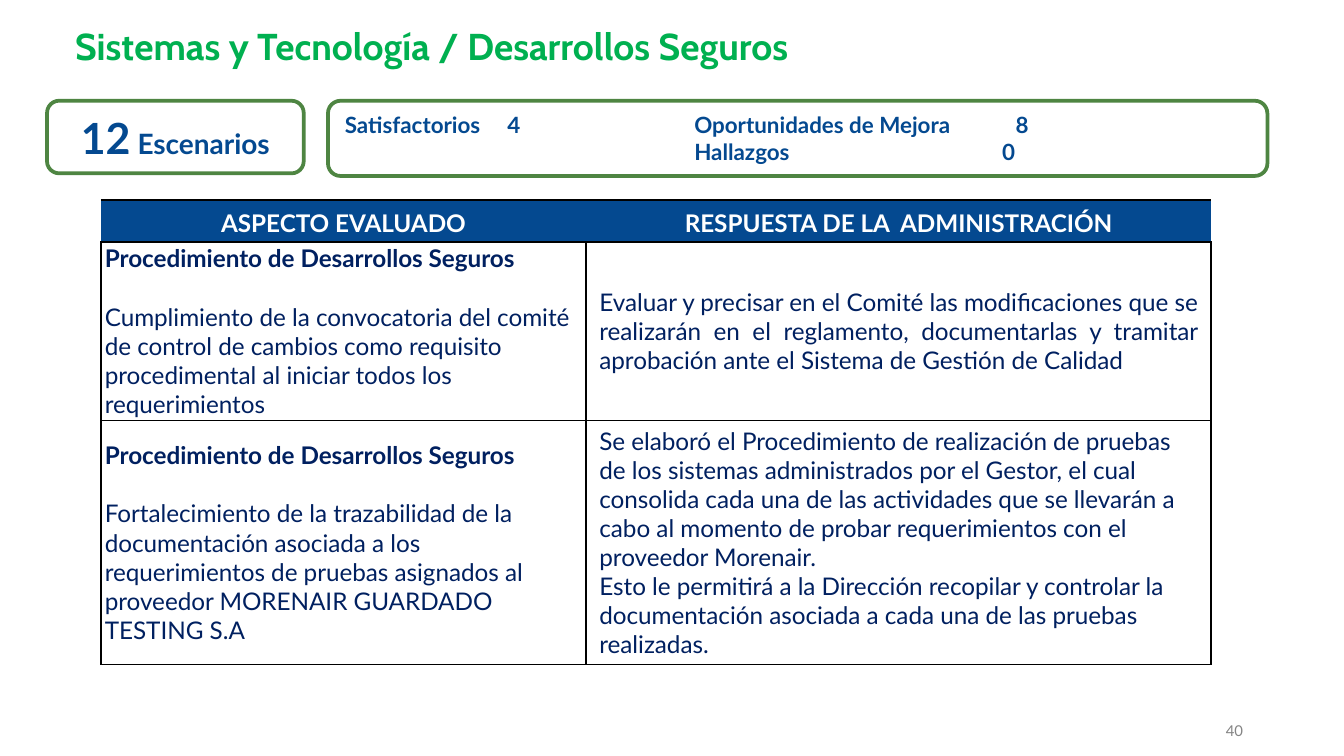
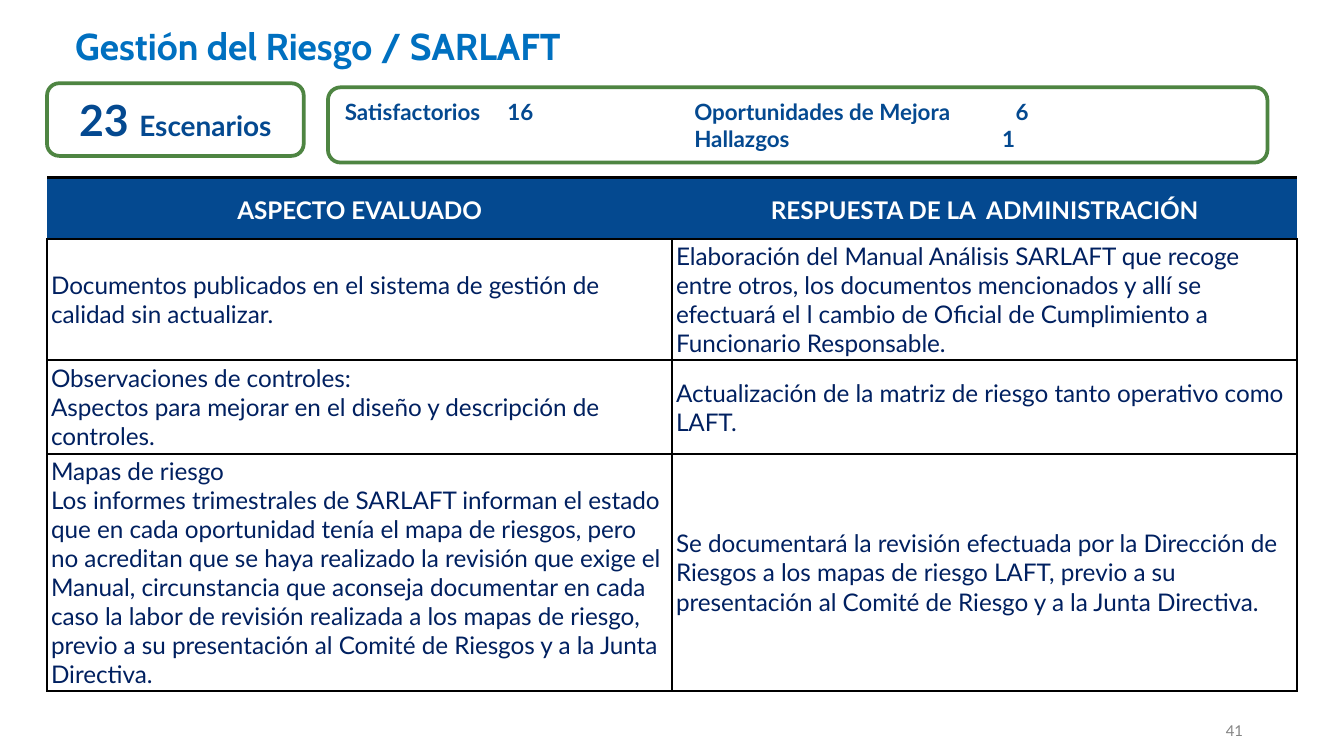
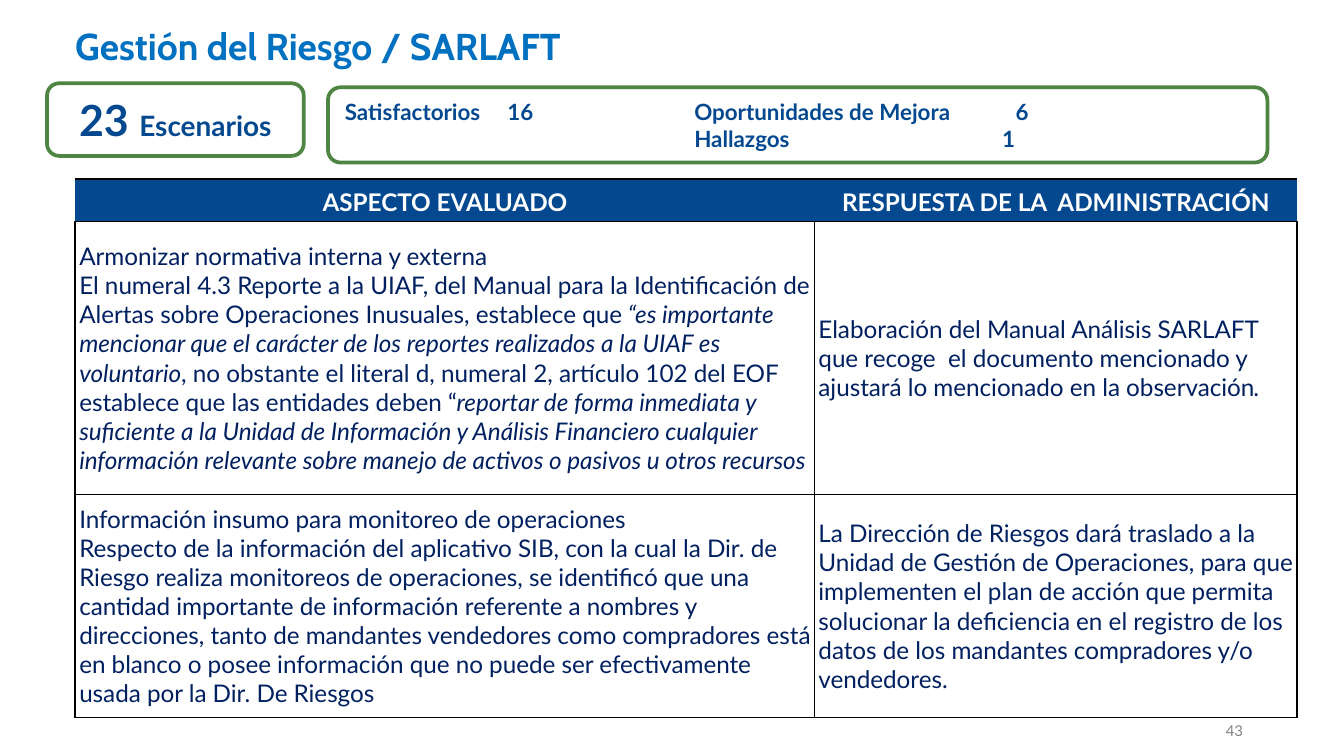
from dataclasses import dataclass

from lxml.etree import SubElement
from pptx import Presentation
from pptx.dml.color import RGBColor
from pptx.enum.shapes import MSO_SHAPE
from pptx.enum.text import MSO_ANCHOR, PP_ALIGN
from pptx.oxml.ns import qn
from pptx.util import Inches, Pt

COLORS = {
    "green_title": "00B050",
    "blue_title": "0070C0",
    "band": "044990",
    "body": "002060",
    "box_line": "4E8542",
    "white": "FFFFFF",
    "border": "000000",
    "footer": "848484",
}
TITLE_FONT = "Cabin"
BODY_FONT = "Lato"
TABLE_SIZE = 13
HEADERS = ["ASPECTO EVALUADO", "RESPUESTA DE LA  ADMINISTRACIÓN"]
NARROW_MARGINS = (0.03, 0.01)
WIDE_MARGINS = (0.1, 0.04)


@dataclass
class Entry:
    """One paragraph of a table cell; underscores switch italics on and off."""

    text: str
    bold: bool = False
    align: PP_ALIGN = PP_ALIGN.LEFT
    space_after: float = 0


def color(name):
    return RGBColor.from_string(COLORS[name])


def set_borders(cell, widths):
    """Draw the sides given as {tag: points}; a width of 0 hides the side."""
    properties = cell._tc.get_or_add_tcPr()
    for index, (tag, width) in enumerate(widths.items()):
        line = SubElement(properties, qn(f"a:{tag}"), w=str(Pt(width)))
        if width:
            fill = SubElement(line, qn("a:solidFill"))
            SubElement(fill, qn("a:srgbClr"), val=COLORS["border"])
        else:
            SubElement(line, qn("a:noFill"))
        properties.insert(index, line)


def set_tab_stops(paragraph, positions):
    tab_list = SubElement(paragraph._p.get_or_add_pPr(), qn("a:tabLst"))
    for position in positions:
        SubElement(tab_list, qn("a:tab"), pos=str(Inches(position)), algn="l")


class Deck:
    def __init__(self):
        self.presentation = Presentation()
        self.presentation.slide_width = Inches(10)
        self.presentation.slide_height = Inches(10 * 9 / 16)
        self.slide = None

    def start_slide(self, title, title_color, number):
        self.slide = self.presentation.slides.add_slide(self.presentation.slide_layouts[6])
        paragraph = self.text_box(0.56, 0.22, 7.01, 0.35, title, MSO_ANCHOR.TOP)
        paragraph.line_spacing = 0.85
        self.style(paragraph, 20, title_color, True, TITLE_FONT)
        paragraph = self.text_box(8.93, 5.37, 0.32, 0.13, number, MSO_ANCHOR.BOTTOM)
        paragraph.alignment = PP_ALIGN.RIGHT
        self.style(paragraph, 8, "footer")

    def style(self, paragraph, size, color_name, bold=False, font_name=BODY_FONT):
        for run in paragraph.runs:
            run.font.name = font_name
            run.font.size = Pt(size)
            run.font.bold = bold
            run.font.color.rgb = color(color_name)

    def text_box(self, left, top, width, height, text, anchor):
        shape = self.slide.shapes.add_textbox(
            Inches(left), Inches(top), Inches(width), Inches(height))
        frame = shape.text_frame
        frame.word_wrap = True
        frame.vertical_anchor = anchor
        frame.margin_left = frame.margin_right = frame.margin_top = frame.margin_bottom = 0
        frame.text = text
        return frame.paragraphs[0]

    def rounded_box(self, left, top, width, height, text):
        shape = self.slide.shapes.add_shape(
            MSO_SHAPE.ROUNDED_RECTANGLE,
            Inches(left), Inches(top), Inches(width), Inches(height))
        shape.shadow.inherit = False
        shape.fill.solid()
        shape.fill.fore_color.rgb = color("white")
        shape.line.color.rgb = color("box_line")
        shape.line.width = Pt(2)
        frame = shape.text_frame
        frame.word_wrap = True
        frame.vertical_anchor = MSO_ANCHOR.MIDDLE
        frame.text = text
        return frame.paragraphs

    def scenario_box(self, top, count, label):
        paragraph = self.rounded_box(0.35, top, 1.91, 0.54, count)[0]
        paragraph.add_run().text = label
        paragraph.alignment = PP_ALIGN.CENTER
        self.style(paragraph, 23, "band", True)
        paragraph.runs[1].font.size = Pt(15)

    def result_box(self, top, satisfactory, improvements, findings):
        text = (f"Satisfactorios\t{satisfactory}\tOportunidades de Mejora\t{improvements}\n"
                f"\tHallazgos\t{findings}")
        paragraphs = self.rounded_box(2.44, top, 6.99, 0.56, text)
        for paragraph, stops in zip(paragraphs, [(1.21, 2.6, 4.99), (2.6, 4.89)]):
            paragraph.alignment = PP_ALIGN.LEFT
            set_tab_stops(paragraph, stops)
            self.style(paragraph, 12, "band", True)

    def table(self, left, top, widths, heights, rows, answer_margins=NARROW_MARGINS):
        table = self.slide.shapes.add_table(
            len(heights), len(widths), Inches(left), Inches(top),
            Inches(sum(widths)), Inches(sum(heights))).table
        table.first_row = table.horz_banding = False
        for column, width in zip(table.columns, widths):
            column.width = Inches(width)
        for row, height in zip(table.rows, heights):
            row.height = Inches(height)
        for index, header in enumerate(HEADERS):
            self.header_cell(table.cell(0, index), header)
        for row_index, row in enumerate(rows, start=1):
            for index, margins in enumerate([NARROW_MARGINS, answer_margins]):
                self.body_cell(table.cell(row_index, index), row[index], margins)

    def set_cell_margins(self, cell, margins):
        cell.vertical_anchor = MSO_ANCHOR.MIDDLE
        cell.margin_left = cell.margin_right = Inches(margins[0])
        cell.margin_top = cell.margin_bottom = Inches(margins[1])

    def header_cell(self, cell, text):
        self.set_cell_margins(cell, NARROW_MARGINS)
        cell.fill.solid()
        cell.fill.fore_color.rgb = color("band")
        set_borders(cell, {"lnL": 0, "lnR": 0, "lnT": 1.5, "lnB": 1})
        cell.text_frame.text = text
        paragraph = cell.text_frame.paragraphs[0]
        paragraph.alignment = PP_ALIGN.CENTER
        paragraph.line_spacing = 1.15
        self.style(paragraph, TABLE_SIZE, "white", True)

    def body_cell(self, cell, entries, margins):
        self.set_cell_margins(cell, margins)
        cell.fill.background()
        set_borders(cell, {"lnL": 1, "lnR": 1, "lnT": 1, "lnB": 1})
        frame = cell.text_frame
        for index, entry in enumerate(entries):
            paragraph = frame.add_paragraph() if index else frame.paragraphs[0]
            paragraph.alignment = entry.align
            paragraph.space_after = Pt(entry.space_after)
            for part, text in enumerate(entry.text.split("_")):
                if text:
                    run = paragraph.add_run()
                    run.text = text
                    run.font.italic = part % 2 == 1
            self.style(paragraph, TABLE_SIZE, "body", entry.bold)


def add_secure_development(deck):
    deck.start_slide("Sistemas y Tecnología / Desarrollos Seguros", "green_title", "40")
    heading = Entry("Procedimiento de Desarrollos Seguros", bold=True, space_after=15.6)
    rows = [
        ([heading,
          Entry("Cumplimiento de la convocatoria del comité de control de cambios como "
                "requisito procedimental al iniciar todos los requerimientos")],
         [Entry("Evaluar y precisar en el Comité las modificaciones que se realizarán en el "
                "reglamento, documentarlas y tramitar aprobación ante el Sistema de Gestión "
                "de Calidad", align=PP_ALIGN.JUSTIFY)]),
        ([heading,
          Entry("Fortalecimiento de la trazabilidad de la documentación asociada a los "
                "requerimientos de pruebas asignados al proveedor MORENAIR GUARDADO "
                "TESTING S.A")],
         [Entry("Se elaboró el Procedimiento de realización de pruebas de los sistemas "
                "administrados por el Gestor, el cual consolida cada una de las actividades "
                "que se llevarán a cabo al momento de probar requerimientos con el "
                "proveedor Morenair."),
          Entry("Esto le permitirá a la Dirección recopilar y controlar la documentación "
                "asociada a cada una de las pruebas realizadas.")]),
    ]
    deck.table(0.75, 1.49, [3.61, 4.65], [0.31, 1.33, 1.81], rows, WIDE_MARGINS)
    deck.scenario_box(0.75, "12", " Escenarios")
    deck.result_box(0.75, 4, 8, 0)


def start_risk_slide(deck, number):
    deck.start_slide("Gestión del Riesgo / SARLAFT", "blue_title", number)
    deck.scenario_box(0.62, "23 ", "Escenarios")
    deck.result_box(0.65, 16, 6, 1)


def add_risk_documents(deck):
    start_risk_slide(deck, "41")
    rows = [
        ([Entry("Documentos publicados en el sistema de gestión de calidad sin actualizar.")],
         [Entry("Elaboración del Manual Análisis SARLAFT que recoge entre otros, los "
                "documentos mencionados y allí se efectuará el l cambio de Oficial de "
                "Cumplimiento a Funcionario Responsable.")]),
        ([Entry("Observaciones de controles:"),
          Entry("Aspectos para mejorar en el diseño y descripción de controles.")],
         [Entry("Actualización de la matriz de riesgo tanto operativo como  LAFT.")]),
        ([Entry("Mapas de riesgo"),
          Entry("Los informes trimestrales de SARLAFT informan el estado que en cada "
                "oportunidad tenía el mapa de riesgos, pero no acreditan que se haya "
                "realizado la revisión que exige el Manual, circunstancia que aconseja "
                "documentar en cada caso la labor de revisión realizada a los mapas de "
                "riesgo, previo a su presentación al Comité de Riesgos y a la Junta "
                "Directiva.")],
         [Entry("Se documentará la revisión efectuada por la Dirección de Riesgos a los "
                "mapas de riesgo LAFT, previo a su presentación al Comité de Riesgo y a la "
                "Junta Directiva.")]),
    ]
    deck.table(0.35, 1.32, [4.65, 4.65], [0.46, 0.9, 0.7, 1.76], rows)


def add_risk_rules(deck):
    start_risk_slide(deck, "43")
    rows = [
        ([Entry("Armonizar normativa interna y externa"),
          Entry("El numeral 4.3 Reporte a la UIAF, del Manual para la Identificación de "
                "Alertas sobre Operaciones Inusuales, establece que _“es importante "
                "mencionar que el carácter de los reportes realizados a la UIAF es "
                "voluntario_, no obstante el literal d, numeral 2, artículo 102 del EOF "
                "establece que las entidades deben “_reportar de forma inmediata y "
                "suficiente a la Unidad de Información y Análisis Financiero cualquier "
                "información relevante sobre manejo de activos o pasivos u otros recursos_")],
         [Entry("Elaboración del Manual Análisis SARLAFT que recoge  el documento "
                "mencionado y ajustará lo mencionado en la observación_._")]),
        ([Entry("Información insumo para monitoreo de operaciones"),
          Entry("Respecto de la información del aplicativo SIB, con la cual la Dir. de "
                "Riesgo realiza monitoreos de operaciones, se identificó que una cantidad "
                "importante de información referente a nombres y direcciones, tanto de "
                "mandantes vendedores como compradores está en blanco o posee información "
                "que no puede ser efectivamente usada por la Dir. De Riesgos")],
         [Entry("La Dirección de Riesgos dará traslado a la Unidad de Gestión de "
                "Operaciones, para que implementen el plan de acción que permita solucionar "
                "la deficiencia en el registro de los datos de los mandantes compradores "
                "y/o vendedores.")]),
    ]
    deck.table(0.56, 1.33, [5.5, 3.59], [0.32, 2.03, 1.66], rows)


def main():
    deck = Deck()
    add_secure_development(deck)
    add_risk_documents(deck)
    add_risk_rules(deck)
    deck.presentation.save("out.pptx")


if __name__ == "__main__":
    main()
